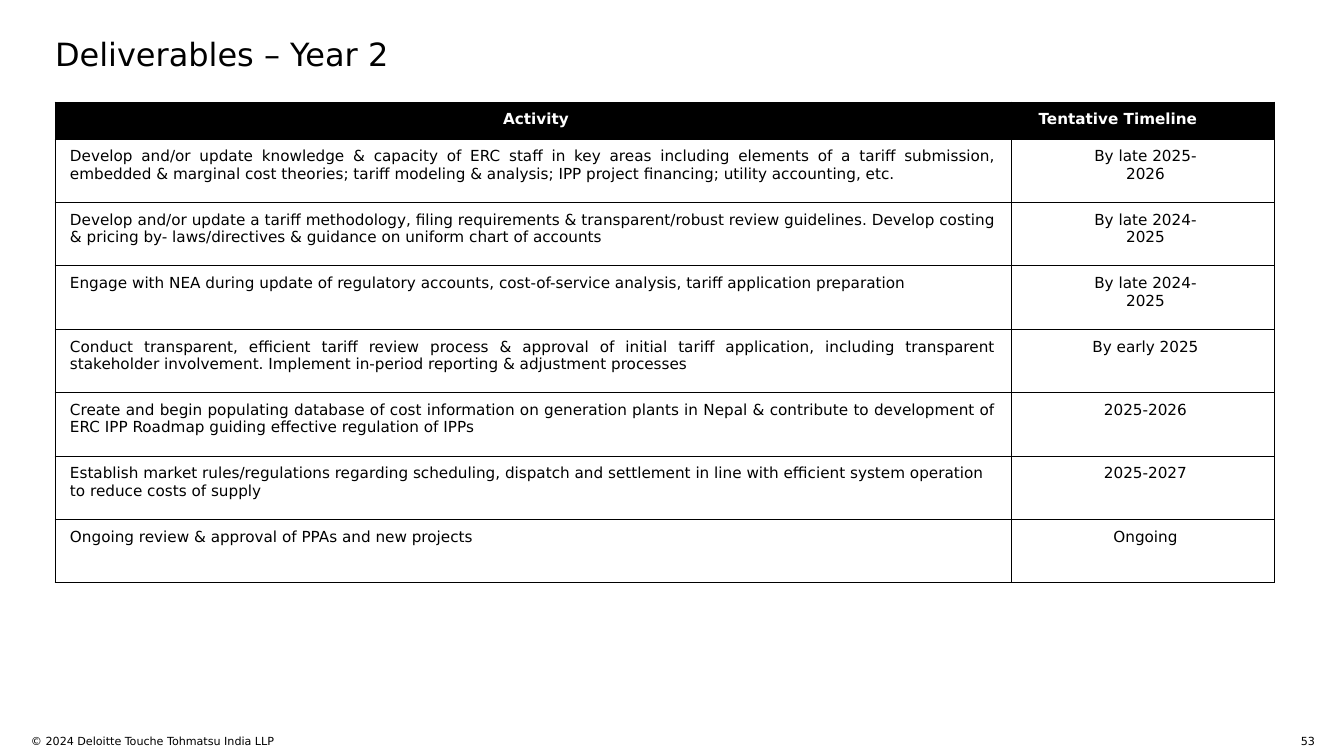
from lxml.etree import SubElement
from pptx import Presentation
from pptx.dml.color import RGBColor
from pptx.enum.text import MSO_ANCHOR, MSO_AUTO_SIZE, PP_ALIGN
from pptx.oxml.ns import qn
from pptx.util import Pt

PX = 10000  # EMU in one px
FONT = "DejaVu Sans"
BLACK = RGBColor(0, 0, 0)
WHITE = RGBColor(255, 255, 255)
LEFT, CENTER = PP_ALIGN.LEFT, PP_ALIGN.CENTER
RIGHT, JUSTIFY = PP_ALIGN.RIGHT, PP_ALIGN.JUSTIFY

# Content
TITLE = "Deliverables – Year 2"
HEADINGS = ("Activity", "Tentative Timeline")
DELIVERABLES = [  # activity, its alignment, timeline lines
    ("Develop and/or update knowledge & capacity of ERC staff in key areas including "
     "elements of a tariff submission, embedded & marginal cost theories; tariff modeling "
     "& analysis; IPP project financing; utility accounting, etc.",
     JUSTIFY, ["By late 2025-", "2026"]),
    ("Develop and/or update a tariff methodology, filing requirements & transparent/robust "
     "review guidelines. Develop costing & pricing by- laws/directives & guidance on "
     "uniform chart of accounts",
     JUSTIFY, ["By late 2024-", "2025"]),
    ("Engage with NEA during update of regulatory accounts, cost-of-service analysis, "
     "tariff application preparation",
     LEFT, ["By late 2024-", "2025"]),
    ("Conduct transparent, efficient tariff review process & approval of initial tariff "
     "application, including transparent stakeholder involvement. Implement in-period "
     "reporting & adjustment processes",
     JUSTIFY, ["By early 2025"]),
    ("Create and begin populating database of cost information on generation plants in "
     "Nepal & contribute to development of ERC IPP Roadmap guiding effective regulation "
     "of IPPs",
     JUSTIFY, ["2025-2026"]),
    ("Establish market rules/regulations regarding scheduling, dispatch and settlement in "
     "line with efficient system operation to reduce costs of supply",
     LEFT, ["2025-2027"]),
    ("Ongoing review & approval of PPAs and new projects", LEFT, ["Ongoing"]),
]
FOOTER = [  # text, left, width, alignment
    ("© 2024 Deloitte Touche Tohmatsu India LLP", 31, 590, LEFT),
    ("53", 1281, 34, RIGHT),
]

# Layout in px
SLIDE_W, SLIDE_H = 1344, 756
TITLE_BOX = (55, 35, 1231, 37)
TABLE_LEFT, TABLE_TOP = 55, 102
COLUMN_WIDTHS = (956, 263)
HEADER_H, BODY_H = 37, 444
FOOTER_TOP, FOOTER_H = 734, 14
INSET, INDENT = 9, 6
HEADER_RIGHT_INSETS = (9, 64)
BODY_RIGHT_INSETS = (15, 9)


def write(paragraph, text, size, align, color=BLACK, bold=False):
    paragraph.alignment = align
    run = paragraph.add_run()
    run.text = text
    run.font.name = FONT
    run.font.size = Pt(size)
    run.font.bold = bold
    run.font.color.rgb = color


def plain_frame(frame):
    frame.margin_left = frame.margin_right = frame.margin_top = frame.margin_bottom = 0
    frame.auto_size = MSO_AUTO_SIZE.NONE
    frame.vertical_anchor = MSO_ANCHOR.TOP
    frame.word_wrap = True


def set_borders(cell, width):
    properties = cell._tc.get_or_add_tcPr()
    for side in ("a:lnL", "a:lnR", "a:lnT", "a:lnB"):
        line = SubElement(properties, qn(side), w=str(Pt(width)))
        fill = SubElement(line, qn("a:solidFill"))
        SubElement(fill, qn("a:srgbClr"), val=str(BLACK))


def fill_cell(cell, lines, align, right_inset, header=False):
    set_borders(cell, 0.75)
    cell.fill.solid()
    cell.fill.fore_color.rgb = BLACK if header else WHITE
    cell.vertical_anchor = MSO_ANCHOR.TOP
    cell.margin_left = (INSET + INDENT) * PX
    cell.margin_right = right_inset * PX
    cell.margin_top = cell.margin_bottom = INSET * PX
    frame = cell.text_frame
    for i, text in enumerate(lines):
        paragraph = frame.add_paragraph() if i else frame.paragraphs[0]
        paragraph.line_spacing = Pt(13.8)
        write(paragraph, text, 12, align, WHITE if header else BLACK, header)


def main():
    deck = Presentation()
    deck.slide_width, deck.slide_height = SLIDE_W * PX, SLIDE_H * PX
    slide = deck.slides.add_slide(deck.slide_layouts[5])

    # Title
    title = slide.shapes.title
    title.left, title.top, title.width, title.height = (n * PX for n in TITLE_BOX)
    plain_frame(title.text_frame)
    write(title.text_frame.paragraphs[0], TITLE, 25.2, LEFT)

    # Deliverables table
    table = slide.shapes.add_table(
        len(DELIVERABLES) + 1, len(HEADINGS), TABLE_LEFT * PX, TABLE_TOP * PX,
        sum(COLUMN_WIDTHS) * PX, (HEADER_H + BODY_H) * PX).table
    for column, width in zip(table.columns, COLUMN_WIDTHS):
        column.width = width * PX
    for i, row in enumerate(table.rows):
        row.height = BODY_H * PX // len(DELIVERABLES) if i else HEADER_H * PX
    for c, heading in enumerate(HEADINGS):
        fill_cell(table.cell(0, c), [heading], CENTER, HEADER_RIGHT_INSETS[c], header=True)
    for r, (activity, align, timeline) in enumerate(DELIVERABLES, 1):
        fill_cell(table.cell(r, 0), [activity], align, BODY_RIGHT_INSETS[0])
        fill_cell(table.cell(r, 1), timeline, CENTER, BODY_RIGHT_INSETS[1])

    # Footer
    for text, left, width, align in FOOTER:
        footer = slide.shapes.add_textbox(
            left * PX, FOOTER_TOP * PX, width * PX, FOOTER_H * PX)
        plain_frame(footer.text_frame)
        write(footer.text_frame.paragraphs[0], text, 8.8, align)

    deck.save("out.pptx")


if __name__ == "__main__":
    main()
